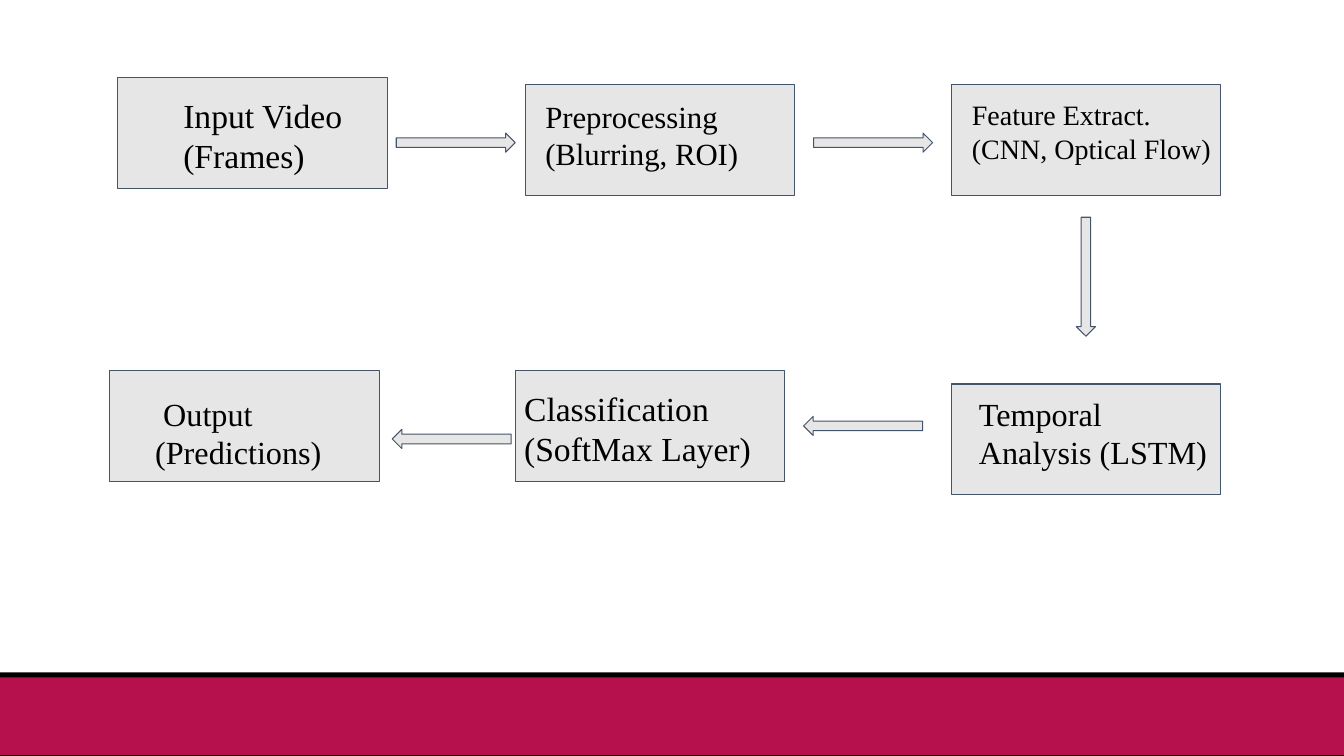
import pptx
import pptx.util
import pptx.dml.color
import pptx.enum.shapes
from dataclasses import dataclass

Inches = pptx.util.Inches
SHAPE = pptx.enum.shapes.MSO_SHAPE


@dataclass(frozen=True)
class Theme:
    font: str = "Times New Roman"
    ink: str = "000000"
    box: str = "E7E6E6"
    outline: str = "44546A"
    band: str = "B6114D"
    large: int = 24
    medium: int = 23
    regular: int = 22
    small: int = 20
    line: float = 0.75


def rgb(value):
    return pptx.dml.color.RGBColor.from_string(value)


def write(tf, text, *, font, size, color):
    """Fill a text frame, one paragraph for each line of text."""
    for i, line in enumerate(text.split("\n")):
        p = tf.paragraphs[0] if i == 0 else tf.add_paragraph()
        r = p.add_run()
        r.text = line
        r.font.name = font
        r.font.size = pptx.util.Pt(size)
        r.font.color.rgb = rgb(color)


class FlowSlide:
    BOX_W, BOX_H = 2.67, 1.1
    ARROW_W, ARROW_H = 1.18, 0.19

    def __init__(self, s, theme):
        self.s = s
        self.theme = theme

    def shape(self, kind, x, y, w, h, fill, outline=None):
        sp = self.s.shapes.add_shape(kind, Inches(x), Inches(y), Inches(w), Inches(h))
        sp.shadow.inherit = False
        sp.fill.solid()
        sp.fill.fore_color.rgb = rgb(fill)
        if outline:
            sp.line.color.rgb = rgb(outline)
            sp.line.width = pptx.util.Pt(self.theme.line)
        else:
            sp.line.fill.background()
        return sp

    def footer(self):
        self.shape(SHAPE.RECTANGLE, 0, 6.67, 13.33, 0.84, self.theme.ink)
        self.shape(SHAPE.RECTANGLE, 0, 6.72, 13.33, 0.77, self.theme.band)

    def box(self, x, y):
        self.shape(SHAPE.RECTANGLE, x, y, self.BOX_W, self.BOX_H,
                   self.theme.box, self.theme.outline)

    def arrow(self, x, y, rotation):
        sp = self.shape(SHAPE.RIGHT_ARROW, x, y, self.ARROW_W, self.ARROW_H,
                        self.theme.box, self.theme.outline)
        sp.rotation = rotation

    def label(self, text, x, y, w, h, size):
        sp = self.s.shapes.add_textbox(Inches(x), Inches(y), Inches(w), Inches(h))
        tf = sp.text_frame
        tf.word_wrap = True
        tf.margin_left = tf.margin_right = Inches(0.1)
        tf.margin_top = tf.margin_bottom = Inches(0.1)
        write(tf, text, font=self.theme.font, size=size, color=self.theme.ink)


def main():
    theme = Theme()
    prs = pptx.Presentation()
    prs.slide_width = Inches(13.33)
    prs.slide_height = Inches(7.5)
    blank = prs.slide_layouts[6]
    flow = FlowSlide(prs.slides.add_slide(blank), theme)

    flow.footer()

    boxes = [(1.17, 0.77), (5.21, 0.84), (9.44, 0.84),
             (9.44, 3.81), (5.11, 3.68), (1.09, 3.68)]
    for x, y in boxes:
        flow.box(x, y)

    arrows = [(3.93, 1.32, 0), (8.07, 1.32, 0), (10.18, 2.65, 90),
              (7.97, 4.13, 180), (3.89, 4.26, 180)]
    for x, y, rotation in arrows:
        flow.arrow(x, y, rotation)

    labels = [
        ("Input Video (Frames)", 1.72, 0.84, 2.67, 0.58, theme.large),
        ("Preprocessing\n(Blurring, ROI)", 5.31, 0.87, 2.47, 1.04, theme.regular),
        ("Feature Extract.\n(CNN, Optical Flow)", 9.54, 0.87, 3.31, 1.81, theme.small),
        ("Temporal Analysis (LSTM)", 9.61, 3.81, 2.55, 1.68, theme.medium),
        ("Classification (SoftMax Layer)", 5.1, 3.75, 3.18, 1.47, theme.large),
        (" Output\n(Predictions)", 1.44, 3.81, 2.02, 0.82, theme.medium),
    ]
    for text, x, y, w, h, size in labels:
        flow.label(text, x, y, w, h, size)

    prs.save("out.pptx")


if __name__ == "__main__":
    main()
